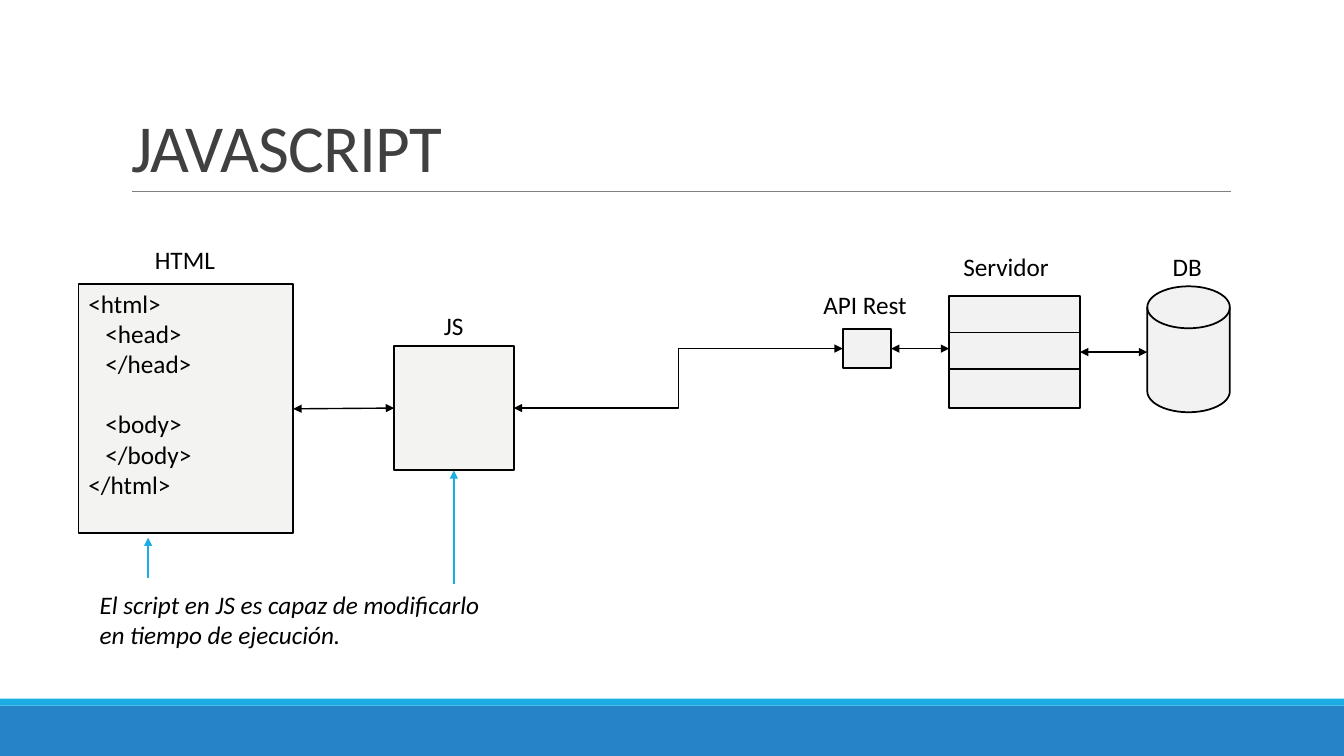
"""Build the JAVASCRIPT slide: page, script, API, server and database."""
import pptx
import pptx.util
import pptx.dml.color
import pptx.enum.shapes
import pptx.enum.text
import pptx.oxml
import pptx.oxml.ns

Pt = pptx.util.Pt
KIND = pptx.enum.shapes.MSO_SHAPE
LINK = pptx.enum.shapes.MSO_CONNECTOR
TEXT = pptx.enum.text

FONT = "Calibri"
BLACK, GREY, SKY, BLUE = "000000", "F2F2F2", "1CADE4", "2683C6"
TITLE = ("JAVASCRIPT", (86.4, 22.3, 792, 114.5))
BANDS = [((0, 504, 960, 36), BLUE), ((0, 499, 960, 5), SKY)]
BOXES = {
    "db": (KIND.FLOWCHART_MAGNETIC_DISK, (819.5, 204.5, 59, 90), GREY),
    "api": (KIND.RECTANGLE, (602, 235, 34.5, 28), GREY),
    "html": (KIND.RECTANGLE, (56, 203, 153.5, 178), "F3F3F2"),
    "js": (KIND.RECTANGLE, (281.5, 247, 85.5, 89), "F3F3F2"),
}
ROWS, ROW, STEP = 3, (678, 211.5, 93.5, 28), 26
LABELS = [
    ("DB", (830.5, 176, 40, 29)),
    ("Servidor", (681, 176, 78, 29)),
    ("API Rest", (581, 203, 77, 29)),
    ("HTML", (103.5, 171, 60, 29)),
    ("JS", (310, 218, 32, 29)),
]
NOTE = ("El script en JS es capaz de modificarlo en tiempo de ejecución.",
        (64, 417.5, 290, 51))
CODE = [
    ("<html>", 0, 0), ("<head>", 12.2, 0), ("</head>", 12.2, 0),
    ("<body>", 12.2, 21.6), ("</body>", 12.2, 0), ("</html>", 0, 0),
]
LINKS = [
    (LINK.STRAIGHT, (209.5, 292, 281.5, 292), ("html", 3), ("js", 1), BLACK),
    (LINK.ELBOW, (367, 292, 602, 249), ("js", 3), ("api", 1), BLACK),
    (LINK.STRAIGHT, (636.5, 249, 678, 249), ("api", 3), None, BLACK),
    (LINK.STRAIGHT, (771.5, 251.5, 819.5, 251.5), ("row1", 3), None, BLACK),
    (LINK.STRAIGHT, (105.8, 413, 105.8, 384), None, None, SKY),
    (LINK.STRAIGHT, (324.25, 417.5, 324.25, 336), None, ("js", 2), SKY),
]


def tint(code):
    return pptx.dml.color.RGBColor.from_string(code)


def style(para, size=18, color=BLACK, slant=False):
    para.font.name = FONT
    para.font.size = Pt(size)
    para.font.color.rgb = tint(color)
    para.font.italic = slant


def add_box(slide, kind, area, fill, edge=None):
    box = slide.shapes.add_shape(kind, *map(Pt, area))
    box.shadow.inherit = False
    box.fill.solid()
    box.fill.fore_color.rgb = tint(fill)
    if edge:
        box.line.color.rgb = tint(edge)
        box.line.width = Pt(1.25)
    else:
        box.line.fill.background()
    return box


def add_text(slide, text, area, wrap=False, slant=False):
    frame = slide.shapes.add_textbox(*map(Pt, area)).text_frame
    frame.word_wrap = wrap
    frame.text = text
    style(frame.paragraphs[0], slant=slant)


def add_line(slide, kind, ends, color, width, heads=()):
    line = slide.shapes.add_connector(kind, *map(Pt, ends))
    line.line.color.rgb = tint(color)
    line.line.width = Pt(width)
    props = line.element.spPr
    edge = props.find(pptx.oxml.ns.qn("a:ln"))
    for head in heads:
        tag = pptx.oxml.ns.qn("a:" + head)
        edge.append(edge.makeelement(tag, {"type": "triangle"}))
    props.append(props.makeelement(pptx.oxml.ns.qn("a:effectLst"), {}))
    return line


def add_title(slide):
    text, area = TITLE
    title = slide.shapes.title
    title.left, title.top, title.width, title.height = map(Pt, area)
    frame = title.text_frame
    frame.text = text
    frame.auto_size = TEXT.MSO_AUTO_SIZE.NONE
    frame.vertical_anchor = TEXT.MSO_ANCHOR.BOTTOM
    para = frame.paragraphs[0]
    style(para, 48, "404040")
    para.alignment = TEXT.PP_ALIGN.LEFT
    para.line_spacing = 0.85
    para.runs[0].font._element.set("spc", "-50")


def add_code(box):
    frame = box.text_frame
    frame.word_wrap = True
    frame.margin_top = Pt(2.6)
    frame.vertical_anchor = TEXT.MSO_ANCHOR.TOP
    for i, (text, indent, gap) in enumerate(CODE):
        para = frame.add_paragraph() if i else frame.paragraphs[0]
        para.text = text
        style(para)
        para.alignment = TEXT.PP_ALIGN.LEFT
        para.space_before = Pt(gap)
        para._p.get_or_add_pPr().set("marL", str(Pt(indent)))


def main():
    deck = pptx.Presentation()
    deck.slide_width, deck.slide_height = Pt(960), Pt(540)
    slide = deck.slides.add_slide(deck.slide_layouts[5])
    add_title(slide)
    for area, fill in BANDS:
        add_box(slide, KIND.RECTANGLE, area, fill)
    add_line(slide, LINK.STRAIGHT, (94.3, 136.8, 879, 136.8), "808080", 0.5)

    boxes = {}
    for name, (kind, area, fill) in BOXES.items():
        boxes[name] = add_box(slide, kind, area, fill, BLACK)
    left, top, width, height = ROW
    for i in range(ROWS):
        area = (left, top + i * STEP, width, height)
        boxes[f"row{i}"] = add_box(slide, KIND.RECTANGLE, area, GREY, BLACK)
    add_code(boxes["html"])

    for text, area in LABELS:
        add_text(slide, text, area)
    add_text(slide, *NOTE, wrap=True, slant=True)

    for kind, ends, start, stop, color in LINKS:
        heads = ("headEnd", "tailEnd") if color == BLACK else ("tailEnd",)
        line = add_line(slide, kind, ends, color, 1, heads)
        if start:
            line.begin_connect(boxes[start[0]], start[1])
        if stop:
            line.end_connect(boxes[stop[0]], stop[1])
    deck.save("out.pptx")


if __name__ == "__main__":
    main()
